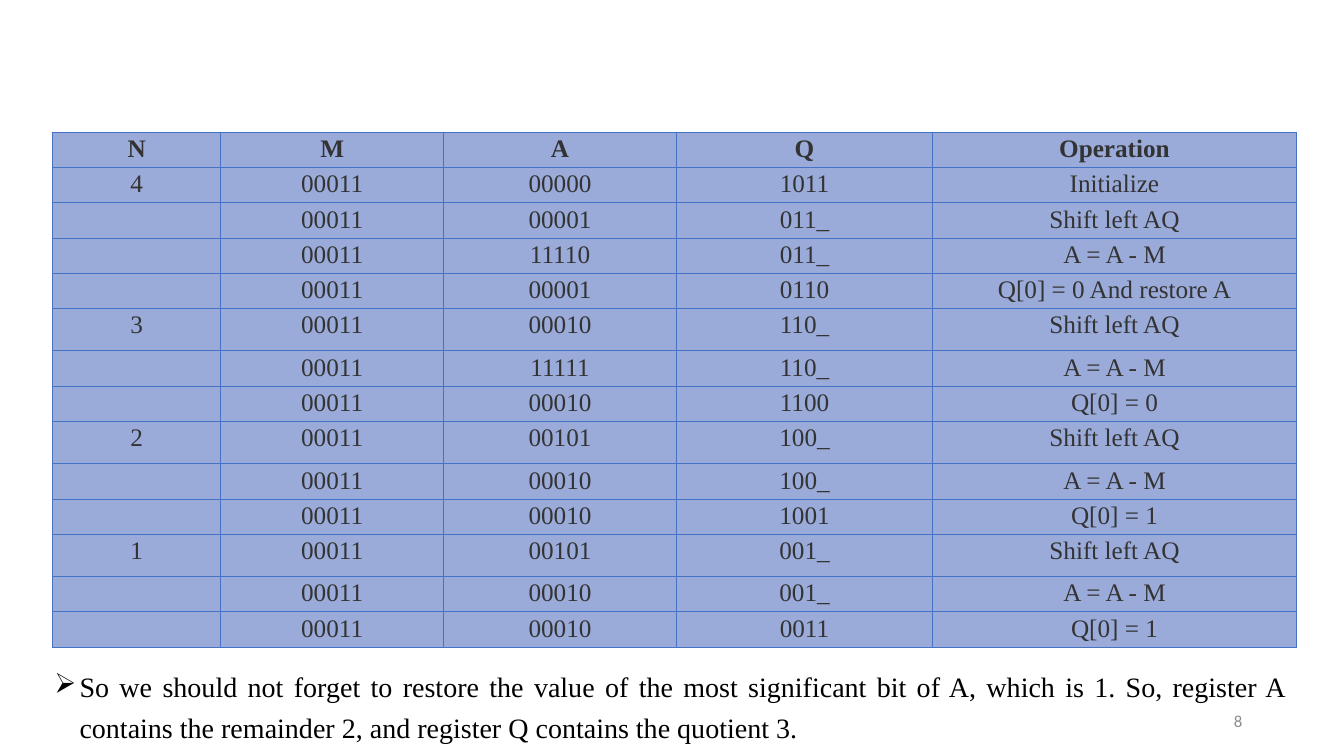
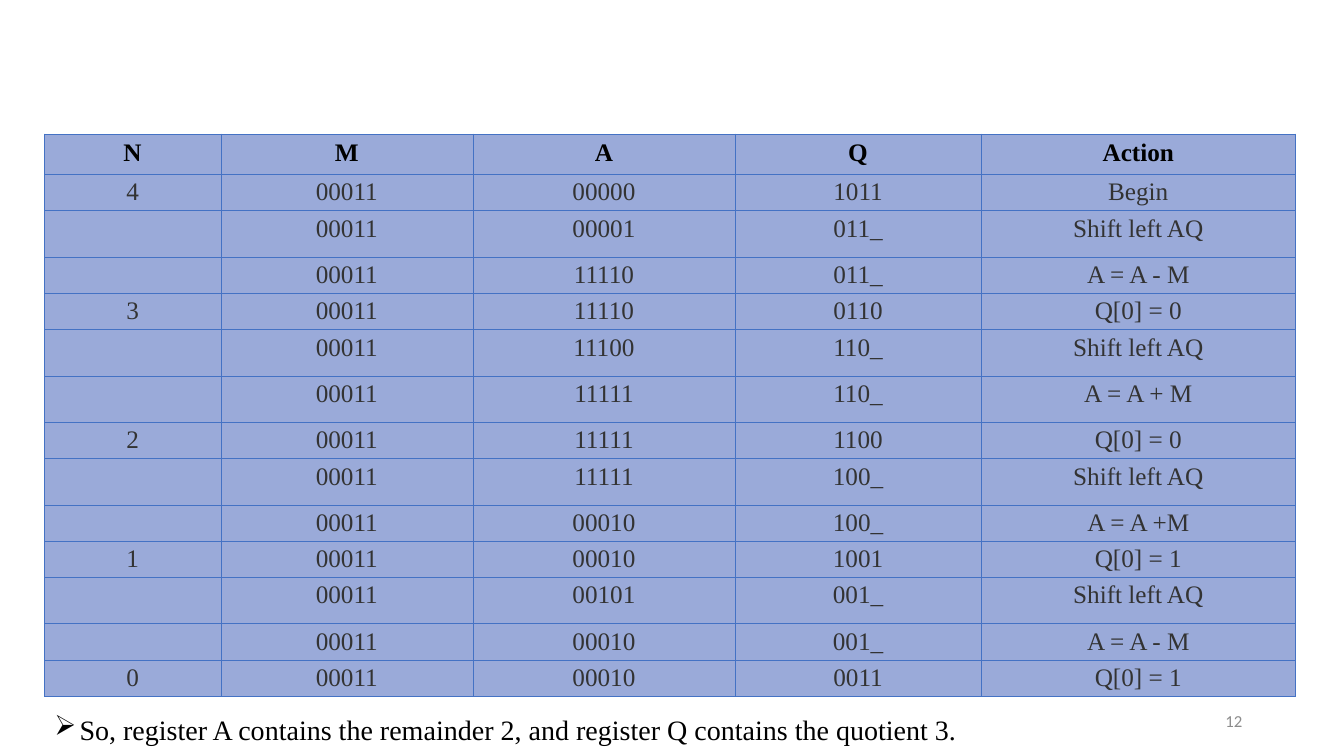
from dataclasses import dataclass
from typing import Any

from lxml.etree import SubElement
from pptx import Presentation
from pptx.dml.color import RGBColor
from pptx.enum.text import MSO_ANCHOR, PP_ALIGN
from pptx.oxml.ns import qn
from pptx.util import Inches, Pt


@dataclass(frozen=True)
class Theme:
    fill: str = "9AAAD9"
    edge: str = "4472C4"
    ink: str = "000000"
    cell: str = "333333"
    mute: str = "8C8C8C"
    serif: str = "Times New Roman"
    sans: str = "Calibri"
    note: int = 20
    grid: int = 18
    page: int = 12
    line: float = 0.5


@dataclass(frozen=True)
class Grid:
    left: float
    top: float
    height: float
    widths: tuple[float, ...]
    head: float
    tall: float
    talls: frozenset[int]
    inset: float
    lead: float
    ink: str
    rows: tuple[str, ...]


@dataclass(frozen=True)
class Page:
    num: str
    note: str
    top: float
    height: float
    grid: Grid


THEME = Theme()
FOOT = 0.02

PAGES = (
    Page(
        "8",
        "So we should not forget to restore the value of the most significant bit of A, "
        "which is 1. So, register A contains the remainder 2, and register Q contains the quotient 3.",
        6.53, 0.73,
        Grid(0.52, 1.31, 5.04, (1.67, 2.21, 2.31, 2.54, 3.61), 0.34, 0.42,
             frozenset({5, 8, 11}), 0.03, 0.03, THEME.cell, (
                 "N|M|A|Q|Operation",
                 "4|00011|00000|1011|Initialize",
                 "|00011|00001|011_|Shift left AQ",
                 "|00011|11110|011_|A = A - M",
                 "|00011|00001|0110|Q[0] = 0 And restore A",
                 "3|00011|00010|110_|Shift left AQ",
                 "|00011|11111|110_|A = A - M",
                 "|00011|00010|1100|Q[0] = 0",
                 "2|00011|00101|100_|Shift left AQ",
                 "|00011|00010|100_|A = A - M",
                 "|00011|00010|1001|Q[0] = 1",
                 "1|00011|00101|001_|Shift left AQ",
                 "|00011|00010|001_|A = A - M",
                 "|00011|00010|0011|Q[0] = 1",
             )),
    ),
    Page(
        "12",
        "So, register A contains the remainder 2, and register Q contains the quotient 3.",
        6.95, 0.3,
        Grid(0.44, 1.33, 5.49, (1.75, 2.5, 2.6, 2.44, 3.12), 0.39, 0.46,
             frozenset({2, 5, 6, 8, 11}), 0.04, 0.05, THEME.ink, (
                 "N|M|A|Q|Action",
                 "4|00011|00000|1011|Begin",
                 "|00011|00001|011_|Shift left AQ",
                 "|00011|11110|011_|A = A - M",
                 "3|00011|11110|0110|Q[0] = 0",
                 "|00011|11100|110_|Shift left AQ",
                 "|00011|11111|110_|A = A + M",
                 "2|00011|11111|1100|Q[0] = 0",
                 "|00011|11111|100_|Shift left AQ",
                 "|00011|00010|100_|A = A +M",
                 "1|00011|00010|1001|Q[0] = 1",
                 "|00011|00101|001_|Shift left AQ",
                 "|00011|00010|001_|A = A - M",
                 "0|00011|00010|0011|Q[0] = 1",
             )),
    ),
)


def apply(item: Any, values: dict[str, Any]) -> None:
    for name, value in values.items():
        setattr(item, name, value)


def write(para: Any, text: str, face: str, size: int, ink: str,
          align: PP_ALIGN, bold: bool = False) -> None:
    para.alignment = align
    run = para.add_run()
    run.text = text
    apply(run.font, {"name": face, "size": Pt(size), "bold": bold})
    run.font.color.rgb = RGBColor.from_string(ink)


def border(cell: Any) -> None:
    props = cell._tc.get_or_add_tcPr()
    for side in ("lnL", "lnR", "lnT", "lnB"):
        line = SubElement(props, qn(f"a:{side}"), w=str(Pt(THEME.line)))
        fill = SubElement(line, qn("a:solidFill"))
        SubElement(fill, qn("a:srgbClr"), val=THEME.edge)


def draw_cell(cell: Any, text: str, grid: Grid, first: bool) -> None:
    border(cell)
    cell.fill.solid()
    cell.fill.fore_color.rgb = RGBColor.from_string(THEME.fill)
    inset = grid.lead if first else grid.inset
    base = inset if first and grid.lead > grid.inset else FOOT
    pad = {"margin_left": inset, "margin_right": inset,
           "margin_top": inset, "margin_bottom": base}
    apply(cell, {name: Inches(size if text else 0) for name, size in pad.items()})
    if text:
        write(cell.text_frame.paragraphs[0], text, THEME.serif, THEME.grid,
              grid.ink if first else THEME.cell, PP_ALIGN.CENTER, first)


def draw_grid(slide: Any, grid: Grid) -> None:
    count = len(grid.rows)
    plain = (grid.height - grid.head - grid.tall * len(grid.talls)) / (count - 1 - len(grid.talls))
    table = slide.shapes.add_table(
        count, len(grid.widths), Inches(grid.left), Inches(grid.top),
        Inches(sum(grid.widths)), Inches(grid.height)).table
    apply(table, {"first_row": False, "horz_banding": False})
    for col, width in zip(table.columns, grid.widths):
        col.width = Inches(width)
    for index, (row, data) in enumerate(zip(table.rows, grid.rows)):
        size = grid.head if index == 0 else grid.tall if index in grid.talls else plain
        row.height = Inches(size)
        for cell, text in zip(row.cells, data.split("|")):
            draw_cell(cell, text, grid, index == 0)


def add_box(slide: Any, left: float, top: float, width: float, height: float,
            anchor: MSO_ANCHOR) -> Any:
    frame = slide.shapes.add_textbox(
        Inches(left), Inches(top), Inches(width), Inches(height)).text_frame
    apply(frame, {"word_wrap": True, "vertical_anchor": anchor})
    return frame.paragraphs[0]


def draw_note(slide: Any, page: Page) -> None:
    para = add_box(slide, 0.44, page.top, 12.41, page.height, MSO_ANCHOR.TOP)
    para.line_spacing = 1.2
    props = para._p.get_or_add_pPr()
    props.set("marL", str(Inches(0.25)))
    props.set("indent", str(Inches(-0.25)))
    SubElement(props, qn("a:buChar"), char="➢")
    write(para, page.note, THEME.serif, THEME.note, THEME.ink, PP_ALIGN.JUSTIFY)


def draw_num(slide: Any, num: str) -> None:
    para = add_box(slide, 9.42, 6.95, 3, 0.4, MSO_ANCHOR.MIDDLE)
    write(para, num, THEME.sans, THEME.page, THEME.mute, PP_ALIGN.RIGHT)


def main() -> None:
    deck = Presentation()
    apply(deck, {"slide_width": Inches(13.33), "slide_height": Inches(7.5)})
    for page in PAGES:
        slide = deck.slides.add_slide(deck.slide_layouts[6])
        draw_note(slide, page)
        draw_num(slide, page.num)
        draw_grid(slide, page.grid)
    deck.save("out.pptx")


if __name__ == "__main__":
    main()
